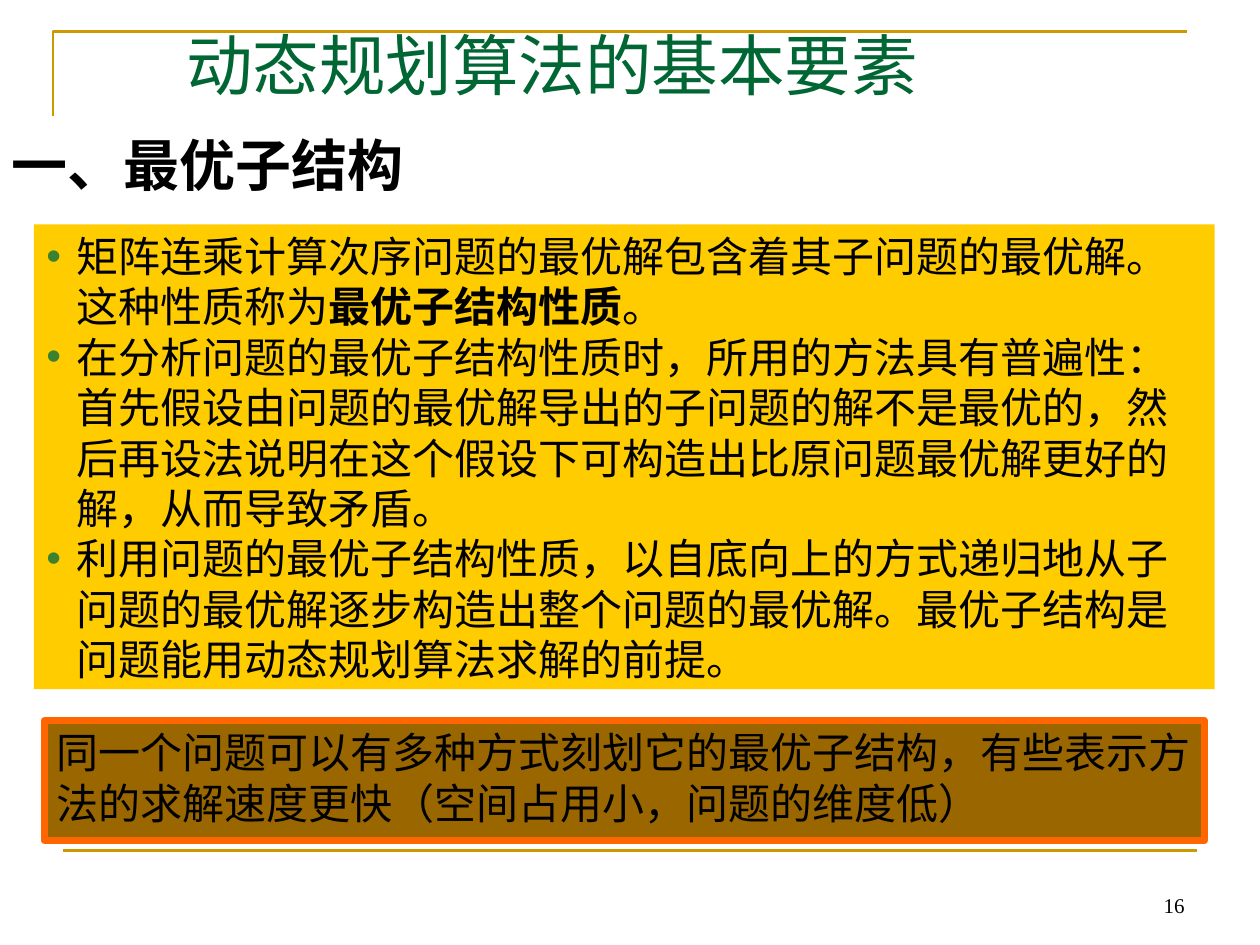
"""Build a slide on the basic elements of dynamic programming."""
from lxml.etree import SubElement
from pptx import Presentation
from pptx.dml.color import RGBColor
from pptx.enum.shapes import MSO_CONNECTOR as Connector, MSO_SHAPE as Shape
from pptx.enum.text import MSO_ANCHOR as Anchor, PP_ALIGN as Align
from pptx.oxml.ns import qn
from pptx.util import Inches, Pt

BLACK = RGBColor(0x00, 0x00, 0x00)
GREEN = RGBColor(0x00, 0x66, 0x33)
BULLET_GREEN = RGBColor(0x3B, 0x81, 0x2F)
GOLD = RGBColor(0xCC, 0x99, 0x00)
YELLOW = RGBColor(0xFF, 0xCC, 0x00)
BROWN = RGBColor(0x99, 0x66, 0x00)
ORANGE = RGBColor(0xFF, 0x66, 0x00)
SERIF = "Times New Roman"

TITLE = "动态规划算法的基本要素"
HEADING = "一、最优子结构"
POINTS = [
    [("矩阵连乘计算次序问题的最优解包含着其子问题的最优解。这种性质称为", False),
     ("最优子结构性质", True), ("。", False)],
    [("在分析问题的最优子结构性质时，所用的方法具有普遍性：首先假设由问题的最优解导出的子问题的解不是最优的，"
      "然后再设法说明在这个假设下可构造出比原问题最优解更好的解，从而导致矛盾。", False)],
    [("利用问题的最优子结构性质，以自底向上的方式递归地从子问题的最优解逐步构造出整个问题的最优解。"
      "最优子结构是问题能用动态规划算法求解的前提。", False)],
]
REMARK = "同一个问题可以有多种方式刻划它的最优子结构，有些表示方法的求解速度更快（空间占用小，问题的维度低）"
PAGE_NUMBER = "16"


def add_bullet(paragraph, indent=Inches(0.24)):
    properties = paragraph._p.get_or_add_pPr()
    properties.set("marL", str(indent))
    properties.set("indent", str(-indent))
    color = SubElement(properties, qn("a:buClr"))
    SubElement(color, qn("a:srgbClr"), val=str(BULLET_GREEN))
    SubElement(properties, qn("a:buFont"), typeface="Arial")
    SubElement(properties, qn("a:buChar"), char="•")


def add_text(paragraphs, box, size=24, font="Arial", color=BLACK, bold=False, align=Align.LEFT,
             anchor=Anchor.TOP, wrap=True, bullets=False, fill=None, line=None):
    place = [Inches(value) for value in box]
    if fill is None:
        shape = slide.shapes.add_textbox(*place)
    else:
        shape = slide.shapes.add_shape(Shape.RECTANGLE, *place)
        shape.shadow.inherit = False
        shape.fill.solid()
        shape.fill.fore_color.rgb = fill
        if line is None:
            shape.line.fill.background()
        else:
            style_line(shape, line, 4)
    frame = shape.text_frame
    frame.word_wrap = wrap
    frame.vertical_anchor = anchor
    if isinstance(paragraphs, str):
        paragraphs = [[(paragraphs, bold)]]
    for index, runs in enumerate(paragraphs):
        paragraph = frame.add_paragraph() if index else frame.paragraphs[0]
        paragraph.alignment = align
        if bullets:
            add_bullet(paragraph)
        for text, strong in runs:
            run = paragraph.add_run()
            run.text = text
            run.font.size = Pt(size)
            run.font.name = font
            run.font.bold = strong
            run.font.color.rgb = color


def style_line(shape, color, width):
    shape.line.color.rgb = color
    shape.line.width = Pt(width)


presentation = Presentation()
presentation.slide_width, presentation.slide_height = Inches(10), Inches(7.5)
slide = presentation.slides.add_slide(presentation.slide_layouts[6])

builder = slide.shapes.build_freeform(Inches(0.42), Inches(0.92))
builder.add_line_segments([(Inches(0.42), Inches(0.25)), (Inches(9.42), Inches(0.25))], close=False)
corner = builder.convert_to_shape()
corner.shadow.inherit = False
corner.fill.background()
style_line(corner, GOLD, 1.5)

footer_line = slide.shapes.add_connector(
    Connector.STRAIGHT, Inches(0.5), Inches(6.75), Inches(9.5), Inches(6.75))
style_line(footer_line, GOLD, 1.5)
SubElement(footer_line._element.spPr, qn("a:effectLst"))

add_text(PAGE_NUMBER, (7.17, 6.83, 2.33, 0.5), size=12, font=SERIF, align=Align.RIGHT,
         anchor=Anchor.BOTTOM)
add_text(TITLE, (1.38, 0, 7.01, 0.87), size=38, font=SERIF, color=GREEN, anchor=Anchor.BOTTOM)
add_text(HEADING, (-0.01, 0.99, 3.32, 0.63), size=32, bold=True, align=Align.CENTER, wrap=False)
add_text(POINTS, (0.27, 1.78, 9.37, 3.69), bullets=True, fill=YELLOW)
add_text(REMARK, (0.35, 5.72, 9.21, 0.95), fill=BROWN, line=ORANGE)

presentation.save("out.pptx")
